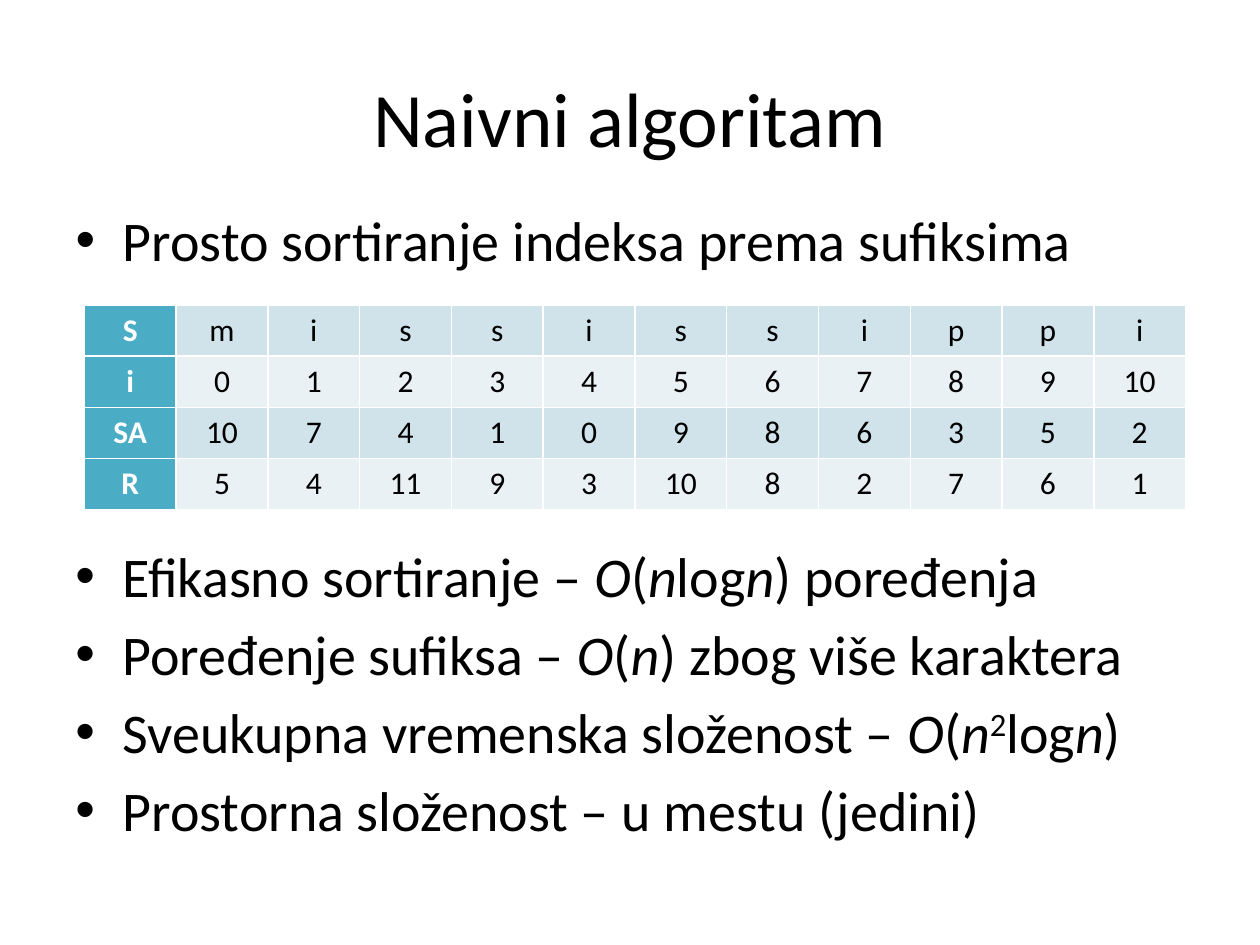
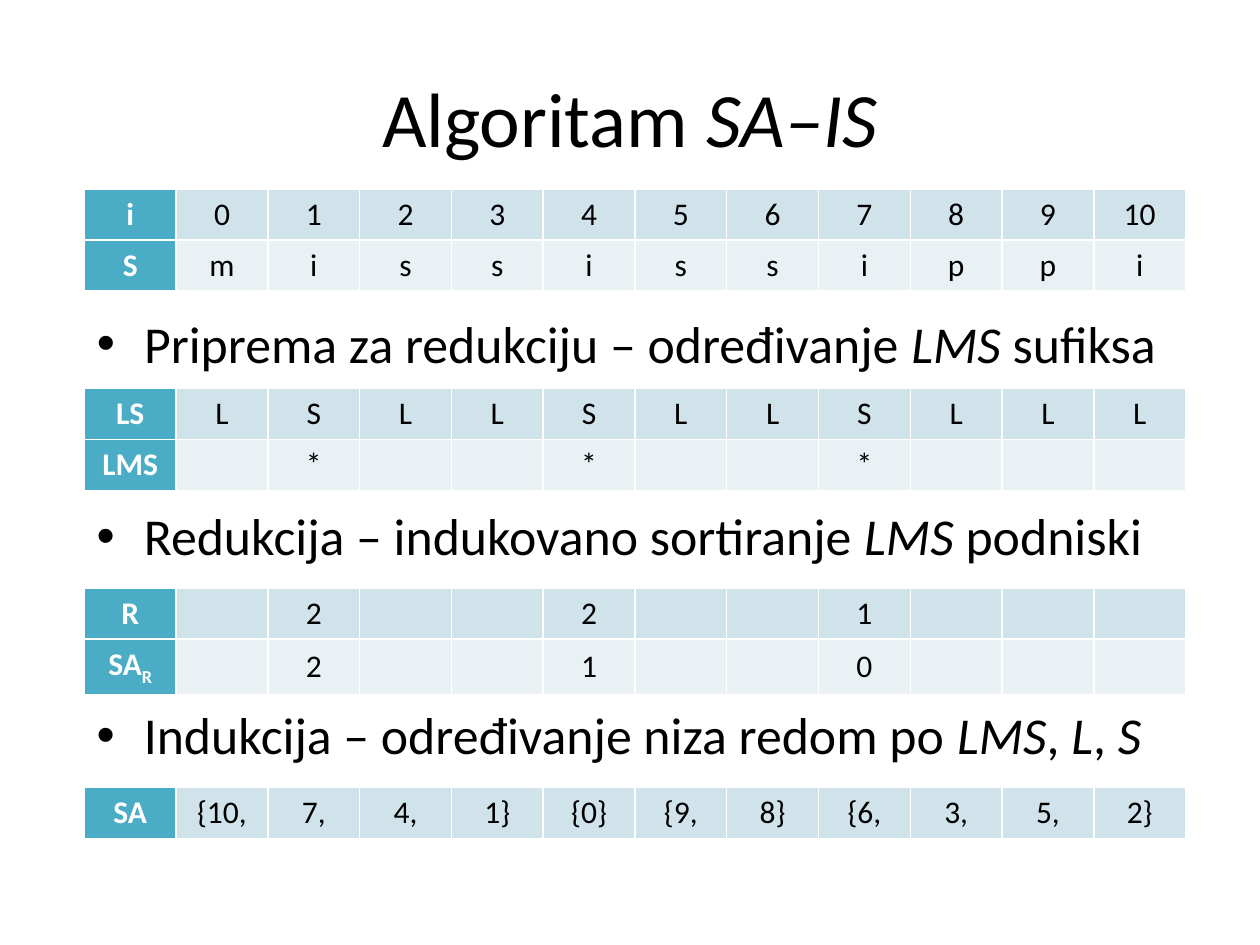
"""Builds two slides on suffix array construction: the naive algorithm and SA–IS."""
from lxml.etree import SubElement
from pptx import Presentation
from pptx.dml.color import RGBColor
from pptx.enum.text import MSO_ANCHOR, MSO_AUTO_SIZE, PP_ALIGN
from pptx.oxml.ns import qn
from pptx.util import Cm, Pt

FONT = "Calibri"
BLACK, WHITE = "000000", "FFFFFF"
TEAL, BANDS = "4BACC6", ("D0E3EA", "E9F1F5")
TABLE_LEFT, COL_W, ROW_H = 1.7, 1.85, 1.03
STEP = 4.02
BASELINES = {"sup": "30000", "sub": "-25000"}


def paint(fill, color):
    fill.solid()
    fill.fore_color.rgb = RGBColor.from_string(color)


def write(p, runs, size, color=BLACK, bold=False):
    for text, style in runs:
        r = p.add_run()
        r.text = text
        r.font.name, r.font.size, r.font.bold = FONT, Pt(size), bold
        r.font.italic = style == "i"
        paint(r.font.fill, color)
        if style in BASELINES:
            r._r.get_or_add_rPr().set("baseline", BASELINES[style])


word = list("mississippi")
index = [str(i) for i in range(len(word))]

naive = {
    "title": [("Naivni algoritam", "")],
    "size": 32,
    "lists": [
        (1.27, 4.01, 22.86, 1.7, 1, [[("Prosto sortiranje indeksa prema sufiksima", "")]]),
        (1.27, 10.8, 22.86, 6.55, 1, [
            [("Efikasno sortiranje – ", ""), ("O", "i"), ("(", ""), ("n", "i"),
             ("log", ""), ("n", "i"), (") poređenja", "")],
            [("Poređenje sufiksa – ", ""), ("O", "i"), ("(", ""), ("n", "i"),
             (") zbog više karaktera", "")],
            [("Sveukupna vremenska složenost – ", ""), ("O", "i"), ("(", ""), ("n", "i"),
             ("2", "sup"), ("log", ""), ("n", "i"), (")", "")],
            [("Prostorna složenost – u mestu (jedini)", "")],
        ]),
    ],
    "tables": [
        (6.15, [
            ([("S", "")], word),
            ([("i", "")], index),
            ([("SA", "")], "10 7 4 1 0 9 8 6 3 5 2".split()),
            ([("R", "")], "5 4 11 9 3 10 8 2 7 6 1".split()),
        ]),
    ],
}

sa_is_steps = [
    (1, [("Priprema za redukciju – određivanje ", ""), ("LMS", "i"), (" sufiksa", "")]),
    (0.9, [("Redukcija – indukovano sortiranje ", ""), ("LMS", "i"), (" podniski", "")]),
    (0.9, [("Indukcija – određivanje niza redom po ", ""), ("LMS", "i"), (", ", ""),
           ("L", "i"), (", ", ""), ("S", "i")]),
]
sa_is_tables = [
    [([("i", "")], index), ([("S", "")], word)],
    [([("LS", "")], list("LSLLSLLSLLL")), ([("LMS", "")], list(" *  *  *   "))],
    [([("R", "")], list(" 2  2  1   ")),
     ([("SA", ""), ("R", "sub")], list(" 2  1  0   "))],
    [([("SA", "")], "{10, 7, 4, 1} {0} {9, 8} {6, 3, 5, 2}".split())],
]
sa_is = {
    "title": [("Algoritam ", ""), ("SA–IS", "i")],
    "size": 29.6,
    "lists": [(TABLE_LEFT, 6.15 + STEP * k, 22.23, 1.48, spacing, [runs])
              for k, (spacing, runs) in enumerate(sa_is_steps)],
    "tables": [(3.81 + STEP * k, rows) for k, rows in enumerate(sa_is_tables)],
}

prs = Presentation()
prs.slide_width, prs.slide_height = Cm(25.4), Cm(19.05)

for content in (naive, sa_is):
    s = prs.slides.add_slide(prs.slide_layouts[1])
    title, body = s.placeholders
    title.left, title.top, title.width, title.height = Cm(1.27), Cm(0.76), Cm(22.86), Cm(3.18)
    tf = title.text_frame
    tf.vertical_anchor = MSO_ANCHOR.MIDDLE
    tf.paragraphs[0].alignment = PP_ALIGN.CENTER
    write(tf.paragraphs[0], content["title"], 44)

    for n, (left, top, width, height, spacing, items) in enumerate(content["lists"]):
        box = [Cm(v) for v in (left, top, width, height)]
        sp = s.shapes.add_textbox(*box) if n else body
        sp.left, sp.top, sp.width, sp.height = box
        tf = sp.text_frame
        tf.word_wrap = True
        tf.auto_size = MSO_AUTO_SIZE.NONE
        for k, runs in enumerate(items):
            p = tf.add_paragraph() if k else tf.paragraphs[0]
            p.line_spacing = spacing
            p.space_before = Pt(6)
            pPr = p._p.get_or_add_pPr()
            pPr.set("marL", str(Cm(0.95)))
            pPr.set("indent", str(-Cm(0.95)))
            SubElement(pPr, qn("a:buFont"), typeface="Arial")
            SubElement(pPr, qn("a:buChar"), char="•")
            write(p, runs, content["size"])

    for top, rows in content["tables"]:
        cols = len(word) + 1
        table = s.shapes.add_table(len(rows), cols, Cm(TABLE_LEFT), Cm(top),
                                   Cm(COL_W * cols), Cm(ROW_H * len(rows))).table
        table.first_row = table.horz_banding = False
        for col in table.columns:
            col.width = Cm(COL_W)
        for i, (head, values) in enumerate(rows):
            table.rows[i].height = Cm(ROW_H)
            for j, runs in enumerate([head] + [[(v, "")] for v in values]):
                cell = table.cell(i, j)
                cell.vertical_anchor = MSO_ANCHOR.MIDDLE
                tcPr = cell._tc.get_or_add_tcPr()
                for side in ("lnL", "lnR", "lnT", "lnB"):
                    ln = SubElement(tcPr, qn(f"a:{side}"), w=str(Pt(1)))
                    SubElement(SubElement(ln, qn("a:solidFill")), qn("a:srgbClr"), val=WHITE)
                paint(cell.fill, BANDS[i % 2] if j else TEAL)
                p = cell.text_frame.paragraphs[0]
                p.alignment = PP_ALIGN.CENTER
                if runs[0][0].strip():
                    write(p, runs, 18, BLACK if j else WHITE, bold=j == 0)

prs.save("out.pptx")
